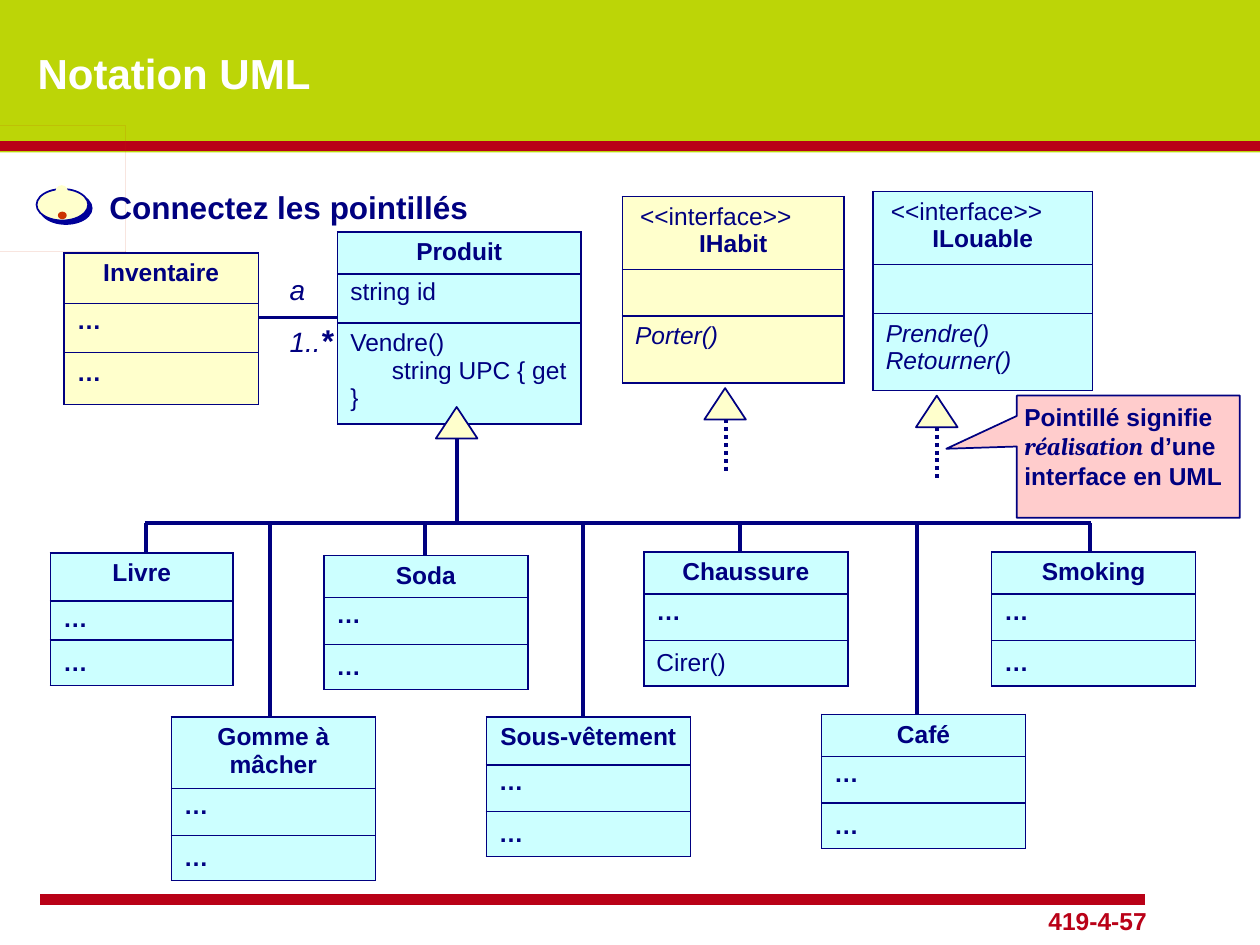
from lxml.etree import SubElement
from pptx import Presentation
from pptx.dml.color import RGBColor
from pptx.enum.dml import MSO_LINE_DASH_STYLE as Dash
from pptx.enum.shapes import MSO_CONNECTOR as Connector, MSO_SHAPE as Shape
from pptx.enum.text import MSO_ANCHOR as Anchor, PP_ALIGN as Align
from pptx.oxml.ns import qn
from pptx.util import Inches, Pt

COLORS = {"lime": "BCD507", "red": "B90117", "navy": "000080", "cyan": "CCFFFF",
          "cream": "FFFFCC", "pink": "FFCCCC", "orange": "CC3300",
          "blue": "000099", "white": "FFFFFF", "black": "000000"}

WIDTH, HEIGHT = 10, 7.5
BUS_Y = 4.15
SUB_WIDTH = 1.62
SUB_ROWS = (0.33, 0.37, 0.36)
DOTS = "…"

# left, top, width, row heights, fill, name, attributes, operations (one entry a paragraph)
CLASSES = [
    (2.68, 1.84, 1.93, (0.33, 0.39, 0.8), "cyan", "Produit", "string id",
     ["Vendre()", "string UPC { get }"]),
    (0.51, 2.01, 1.54, (0.4, 0.39, 0.41), "cream", "Inventaire", DOTS, [DOTS]),
]
INTERFACES = [
    (4.94, 1.56, 1.76, (0.58, 0.37, 0.53), "cream", "IHabit", "", ["Porter()"]),
    (6.93, 1.52, 1.74, (0.58, 0.39, 0.61), "cyan", "ILouable", "", ["Prendre() Retourner()"]),
]
# left, top, width, row heights, name, last row, x of the line up to the bus
SUBCLASSES = [
    (0.4, 4.39, 1.45, (0.38, 0.31, 0.36), "Livre", DOTS, 1.16),
    (1.36, 5.69, SUB_WIDTH, (0.57, 0.37, 0.36), "Gomme à mâcher", DOTS, 2.14),
    (2.57, 4.41, SUB_WIDTH, SUB_ROWS, "Soda", DOTS, 3.37),
    (3.86, 5.69, SUB_WIDTH, (0.38, 0.37, 0.36), "Sous-vêtement", DOTS, 4.63),
    (5.11, 4.38, SUB_WIDTH, SUB_ROWS, "Chaussure", "Cirer()", 5.87),
    (6.52, 5.67, SUB_WIDTH, SUB_ROWS, "Café", DOTS, 7.28),
    (7.87, 4.38, SUB_WIDTH, SUB_ROWS, "Smoking", DOTS, 8.65),
]
# triangle left and top, stem end, dash
ARROWS = [(3.46, 3.23, BUS_Y, None), (5.59, 3.08, 3.76, Dash.ROUND_DOT),
          (7.27, 3.14, 3.8, Dash.ROUND_DOT)]
HOOK = [(0.5, 1.66), (0.48, 1.66), (0.48, 1.65), (0.49, 1.62), (0.5, 1.58), (0.52, 1.55),
        (0.52, 1.5), (0.51, 1.49), (0.5, 1.48), (0.47, 1.48), (0.46, 1.49), (0.48, 1.51),
        (0.48, 1.54), (0.46, 1.56), (0.44, 1.55), (0.43, 1.53), (0.42, 1.52), (0.43, 1.5),
        (0.44, 1.48), (0.47, 1.46), (0.53, 1.46), (0.55, 1.48), (0.57, 1.5), (0.57, 1.55),
        (0.55, 1.58), (0.51, 1.62), (0.5, 1.64)]


def rgb(name):
    return RGBColor.from_string(COLORS[name])


def add_run(paragraph, text, size=14, color="navy", bold=False, italic=False, face="Arial"):
    run = paragraph.add_run()
    run.text = text
    font = run.font
    font.name, font.size, font.bold, font.italic = face, Pt(size), bold, italic
    font.color.rgb = rgb(color)
    return run


def add_text(slide, left, top, width, height):
    frame = slide.shapes.add_textbox(*map(Inches, (left, top, width, height))).text_frame
    frame.word_wrap = True
    return frame


def paint(shape, fill, line=None):
    shape.shadow.inherit = False
    shape.fill.solid()
    shape.fill.fore_color.rgb = rgb(fill)
    if line:
        shape.line.color.rgb = rgb(line)
        shape.line.width = Pt(1)
    else:
        shape.line.fill.background()
    return shape


def add_shape(slide, kind, box, fill, line=None):
    return paint(slide.shapes.add_shape(kind, *map(Inches, box)), fill, line)


def add_line(slide, start, end, color="navy", width=2.25, dash=None):
    line = slide.shapes.add_connector(Connector.STRAIGHT, *map(Inches, start + end))
    line.line.color.rgb = rgb(color)
    line.line.width = Pt(width)
    if dash:
        line.line.dash_style = dash
    SubElement(line._element.spPr, qn("a:effectLst"))


def add_shadow(effects, color, distance):
    shadow = SubElement(effects, qn("a:outerShdw"), dist=str(Pt(distance)), dir="2700000",
                        algn="ctr", rotWithShape="0")
    SubElement(shadow, qn("a:srgbClr"), val=COLORS[color])


def style_cell(cell, fill):
    properties = cell._tc.get_or_add_tcPr()
    for side in ("a:lnL", "a:lnR", "a:lnT", "a:lnB"):
        border = SubElement(properties, qn(side), w=str(Pt(1)))
        SubElement(SubElement(border, qn("a:solidFill")), qn("a:srgbClr"), val=COLORS["navy"])
    cell.fill.solid()
    cell.fill.fore_color.rgb = rgb(fill)


def add_class(slide, left, top, width, rows, fill, name, attributes, operations,
              last_spacing=1.0, interface=False):
    """Draw a UML class as a table of name, attributes and operations."""
    box = map(Inches, (left, top, width, sum(rows)))
    table = slide.shapes.add_table(3, 1, *box).table
    table.first_row = table.horz_banding = False
    for row, height in zip(table.rows, rows):
        row.height = Inches(height)
        style_cell(row.cells[0], fill)
    head, middle, last = (row.cells[0] for row in table.rows)

    title = head.text_frame.paragraphs[0]
    if interface:
        title._p.get_or_add_pPr().set("marL", str(Inches(0.04)))
        add_run(title, "<<interface>>")
        title = head.text_frame.add_paragraph()
    title.alignment = Align.CENTER
    add_run(title, name, bold=True)

    if attributes:
        paragraph = middle.text_frame.paragraphs[0]
        paragraph.line_spacing = 0.9
        add_run(paragraph, attributes, bold=attributes == DOTS)
    else:
        middle.margin_top = middle.margin_bottom = 0

    for index, text in enumerate(operations):
        frame = last.text_frame
        paragraph = frame.add_paragraph() if index else frame.paragraphs[0]
        paragraph.line_spacing = last_spacing
        if index:
            paragraph._p.get_or_add_pPr().set("indent", str(Inches(0.33)))
        add_run(paragraph, text, bold=text == DOTS, italic=interface)


def add_frame(slide):
    slide.background.fill.solid()
    slide.background.fill.fore_color.rgb = rgb("lime")
    add_shape(slide, Shape.RECTANGLE, (0, 1.21, WIDTH, HEIGHT - 1.21), "white")
    add_line(slide, (0.32, 7.14), (9.09, 7.14), "red", 6)
    add_line(slide, (0, 1.16), (WIDTH, 1.16), "red", 6)
    number = add_text(slide, 7.62, 7.14, 1.58, 0.33).paragraphs[0]
    number.alignment = Align.RIGHT
    add_run(number, "419-4-57", color="red", bold=True)
    title = add_text(slide, 0.2, 0.18, 8.52, 0.79)
    title.vertical_anchor = Anchor.MIDDLE
    run = add_run(title.paragraphs[0], "Notation UML", 24, "white", True)
    effects = run.font._element.makeelement(qn("a:effectLst"))
    run.font._element.find(qn("a:solidFill")).addnext(effects)
    add_shadow(effects, "black", 2.8)


def add_question(slide):
    oval = add_shape(slide, Shape.OVAL, (0.29, 1.5, 0.41, 0.25), "cream", "blue")
    add_shadow(oval._element.spPr.find(qn("a:effectLst")), "blue", 2.8)
    add_shape(slide, Shape.OVAL, (0.46, 1.68, 0.07, 0.06), "orange")
    add_shape(slide, Shape.OVAL, (0.44, 1.47, 0.1, 0.1), "cream")
    builder = slide.shapes.build_freeform(*HOOK[0], scale=Inches(1))
    builder.add_line_segments(HOOK[1:], close=True)
    paint(builder.convert_to_shape(), "orange")
    heading = add_text(slide, 0.77, 1.44, 4, 0.4).paragraphs[0]
    add_run(heading, "Connectez les pointillés", 18, bold=True)


def add_callout(slide):
    callout = add_shape(slide, Shape.RECTANGULAR_CALLOUT, (8.07, 3.14, 1.77, 0.97),
                        "pink", "navy")
    callout.adjustments[0], callout.adjustments[1] = -0.816, -0.065
    frame = callout.text_frame
    frame.word_wrap = True
    frame.vertical_anchor = Anchor.TOP
    frame.margin_left = frame.margin_right = Inches(0.06)
    paragraph = frame.paragraphs[0]
    paragraph.alignment = Align.LEFT
    add_run(paragraph, "Pointillé signifie ", bold=True)
    add_run(paragraph, "réalisation", bold=True, italic=True, face="Cambria")
    add_run(paragraph, " d’une interface en UML", bold=True)


def main():
    presentation = Presentation()
    presentation.slide_width, presentation.slide_height = Inches(WIDTH), Inches(HEIGHT)
    slide = presentation.slides.add_slide(presentation.slide_layouts[6])
    add_frame(slide)
    add_question(slide)

    add_line(slide, (2.05, 2.52), (2.68, 2.52))
    multiplicity = add_text(slide, 2.2, 2.11, 0.76, 0.82)
    add_run(multiplicity.paragraphs[0], "a", 16, italic=True)
    paragraph = multiplicity.add_paragraph()
    paragraph.space_before = Pt(9)
    add_run(paragraph, "1..", 16, italic=True)
    add_run(paragraph, "*", 18, bold=True, italic=True)

    add_line(slide, (1.15, BUS_Y), (8.66, BUS_Y))
    for left, top, width, rows, name, last, drop_x in SUBCLASSES:
        add_line(slide, (drop_x, BUS_Y), (drop_x, top))
        add_class(slide, left, top, width, rows, "cyan", name, DOTS, [last], 1.1)
    for entry in CLASSES:
        add_class(slide, *entry)
    for entry in INTERFACES:
        add_class(slide, *entry, interface=True)

    for left, top, end, dash in ARROWS:
        middle = left + 0.17
        add_line(slide, (middle, top + 0.25), (middle, end), dash=dash)
        add_shape(slide, Shape.ISOSCELES_TRIANGLE, (left, top, 0.33, 0.25), "cream", "navy")
    add_callout(slide)
    presentation.save("out.pptx")


if __name__ == "__main__":
    main()
